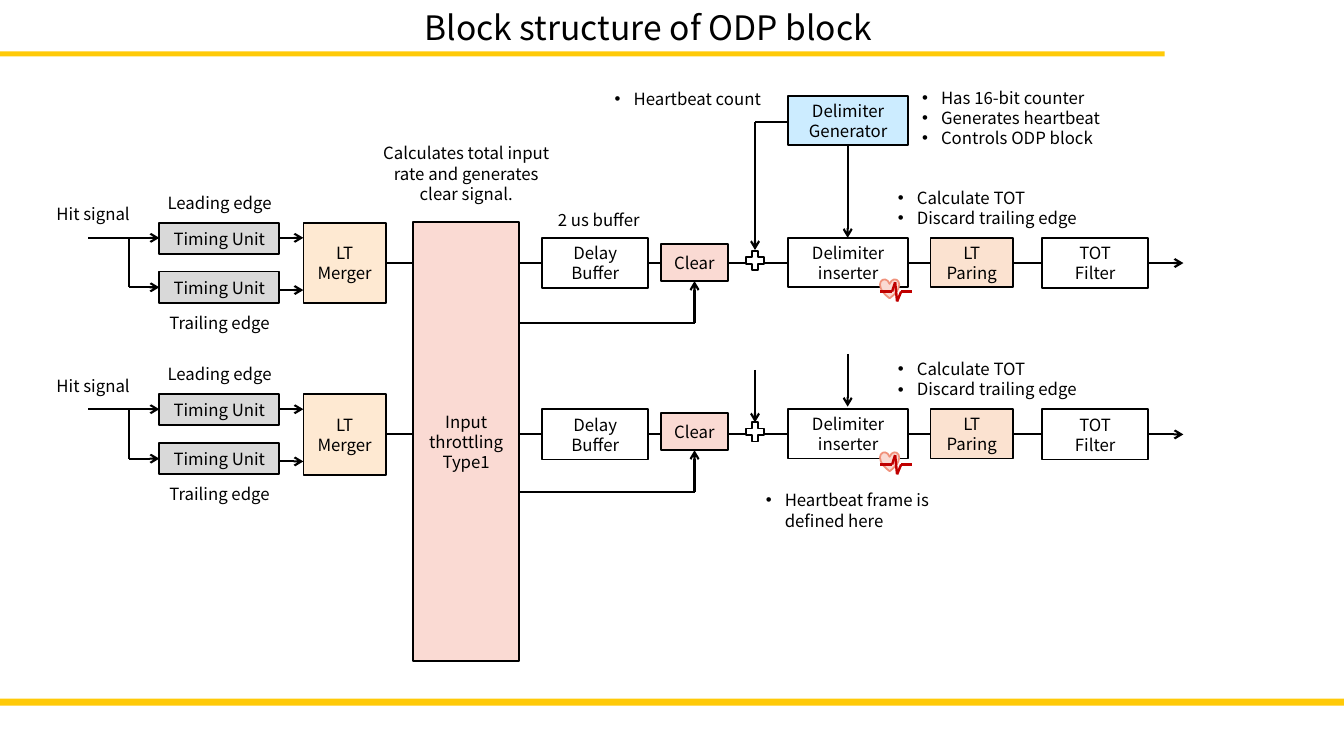
from dataclasses import dataclass
from itertools import pairwise

from lxml.etree import SubElement
from pptx import Presentation
from pptx.dml.color import RGBColor
from pptx.enum.shapes import MSO_CONNECTOR, MSO_SHAPE as SHAPE
from pptx.enum.text import MSO_ANCHOR as ANCHOR, PP_ALIGN as ALIGN
from pptx.oxml.ns import qn
from pptx.util import Pt

FONT = "Noto Sans CJK JP"
BLACK = RGBColor(0x00, 0x00, 0x00)
WHITE = RGBColor(0xFF, 0xFF, 0xFF)
GOLD = RGBColor(0xFF, 0xCA, 0x08)
GREY = RGBColor(0xD9, 0xD9, 0xD9)
CREAM = RGBColor(0xFE, 0xE9, 0xD2)
PEACH = RGBColor(0xFB, 0xE2, 0xD0)
PINK = RGBColor(0xFA, 0xDA, 0xD3)
SKY = RGBColor(0xCC, 0xEC, 0xFF)
CORAL = RGBColor(0xF0, 0x91, 0x7B)
RED = RGBColor(0xC0, 0x00, 0x00)
BULLET_INDENT = 13.5


@dataclass(frozen=True)
class Block:
    x: float
    y: float
    w: float
    h: float
    lines: tuple[str, ...] = ()
    fill: RGBColor = WHITE
    outline: RGBColor | None = BLACK
    kind: SHAPE = SHAPE.RECTANGLE


@dataclass(frozen=True)
class Note:
    x: float
    y: float
    w: float
    h: float
    lines: tuple[str, ...]
    bullets: bool = False
    size: float = 12


@dataclass(frozen=True)
class Wire:
    points: tuple[tuple[float, float], ...]
    arrow: bool = True
    color: RGBColor = BLACK
    weight: float = 1.5


@dataclass(frozen=True)
class Channel:
    """Vertical shifts of one signal row and the starts of its inputs."""
    dy: float
    clear_dy: float
    pulse_dy: float
    heartbeat: Wire
    delimiter: Wire


BARS = (
    Block(0, 499, 960, 5, fill=GOLD, outline=None),
    Block(0, 36.7, 832, 3.6, fill=GOLD, outline=None),
)
BUS = Wire(((275.8, 187.9), (845.3, 187.9)))
ROW_BLOCKS = (
    Block(113.8, 159.1, 85.7, 22.3, ("Timing Unit",), GREY),
    Block(113.8, 194, 85.7, 22.3, ("Timing Unit",), GREY),
    Block(216.7, 159.1, 59, 57.6, ("LT Merger",), CREAM),
    Block(387.4, 169.9, 75.6, 36, ("Delay", "Buffer")),
    Block(563, 169.9, 85.7, 35.3, ("Delimiter", "inserter")),
    Block(664.6, 169.9, 59, 35.3, ("LT", "Paring"), PEACH),
    Block(744.5, 169.9, 75.6, 36, ("TOT", "Filter")),
    Block(532.8, 179.3, 13, 13.7, kind=SHAPE.CROSS),
)
ROW_WIRES = (
    Wire(((199.5, 169.9), (216.7, 169.9))),
    Wire(((199.5, 207.2), (216.7, 207.2))),
    Wire(((63, 169.9), (113.8, 169.9))),
    Wire(((92.2, 169.9), (92.2, 205.2), (113.8, 205.2))),
)
ROW_NOTES = (
    Note(105.8, 133.9, 102.2, 21.6, ("Leading edge",)),
    Note(105.8, 219.6, 102.2, 21.6, ("Trailing edge",)),
    Note(30.2, 142, 72.7, 21.6, ("Hit signal",)),
    Note(634.3, 130.3, 163.4, 36, ("Calculate TOT", "Discard trailing edge"), True),
)
CLEAR = Block(472.3, 174.2, 47.5, 26.6, ("Clear",), PINK)
FEEDBACK = Wire(((370.8, 230.8), (496.1, 230.8), (496.1, 200.8)))
HEART = Block(628.6, 199.4, 13.7, 13.7, fill=PINK, outline=CORAL, kind=SHAPE.HEART)
PULSE = Wire(((628.6, 208.3), (637.2, 208.3), (639.4, 201.6), (640.8, 215.3),
              (643.7, 208.3), (651.6, 208.3)), False, RED, 1.75)
CHANNELS = (
    Channel(0, 0, 0, Wire(((563, 87), (539.3, 87), (539.3, 178.6))),
            Wire(((605.5, 103.7), (605.5, 169.9)))),
    Channel(122.4, 120.8, 123.5, Wire(((539.3, 264.2), (539.3, 301.7))),
            Wire(((605.5, 252.7), (605.5, 290.5)))),
)
SHARED_BLOCKS = (
    Block(295.2, 158.4, 75.6, 314, ("Input", "throttling", "Type1"), PINK),
    Block(563, 68.4, 85.7, 35.3, ("Delimiter", "Generator"), SKY),
)
SHARED_NOTES = (
    Note(208, 1.4, 510, 36, ("Block structure of ODP block",), size=24),
    Note(260, 98.6, 146.2, 51.1,
         ("Calculates total input rate and generates clear signal.",)),
    Note(376.6, 146.2, 102.2, 21.6, ("2 us buffer",)),
    Note(432, 59.8, 163.4, 21.6, ("Heartbeat count",), True),
    Note(651.6, 58.7, 163.4, 51.1,
         ("Has 16-bit counter", "Generates heartbeat", "Controls ODP block"), True),
    Note(540, 346.3, 163.4, 36, ("Heartbeat frame is defined here",), True),
)


def write(tf, lines: tuple[str, ...], size: float = 12, bullets: bool = False) -> None:
    tf.word_wrap = True
    for i, line in enumerate(lines):
        p = tf.paragraphs[0] if i == 0 else tf.add_paragraph()
        p.alignment = ALIGN.LEFT if bullets else ALIGN.CENTER
        p.line_spacing = Pt(round(size * 1.21, 1))
        if bullets:
            pPr = p._p.get_or_add_pPr()
            pPr.set("marL", str(Pt(BULLET_INDENT)))
            pPr.set("indent", str(-Pt(BULLET_INDENT)))
            SubElement(pPr, qn("a:buFont")).set("typeface", "Arial")
            SubElement(pPr, qn("a:buChar")).set("char", "•")
        r = p.add_run()
        r.text = line
        r.font.name, r.font.size = FONT, Pt(size)
        r.font.color.rgb = BLACK


def draw_block(shapes, b: Block, dy: float = 0) -> None:
    sp = shapes.add_shape(b.kind, Pt(b.x), Pt(b.y + dy), Pt(b.w), Pt(b.h))
    sp.shadow.inherit = False
    sp.fill.solid()
    sp.fill.fore_color.rgb = b.fill
    if b.outline is None:
        sp.line.fill.background()
    else:
        sp.line.color.rgb = b.outline
        sp.line.width = Pt(1.25)
    if b.kind == SHAPE.CROSS:
        sp.adjustments[0] = 0.34
    if b.lines:
        sp.text_frame.vertical_anchor = ANCHOR.MIDDLE
        write(sp.text_frame, b.lines)


def draw_note(shapes, n: Note, dy: float = 0) -> None:
    sp = shapes.add_textbox(Pt(n.x), Pt(n.y + dy), Pt(n.w), Pt(n.h))
    write(sp.text_frame, n.lines, n.size, n.bullets)


def draw_wire(shapes, wire: Wire, dy: float = 0) -> None:
    """Joins the points by straight connectors; the last may carry an arrowhead."""
    for (x1, y1), (x2, y2) in pairwise(wire.points):
        c = shapes.add_connector(MSO_CONNECTOR.STRAIGHT, Pt(x1), Pt(y1 + dy),
                                 Pt(x2), Pt(y2 + dy))
        c.line.color.rgb = wire.color
        c.line.width = Pt(wire.weight)
        if wire.arrow and (x2, y2) == wire.points[-1]:
            SubElement(c.line._get_or_add_ln(), qn("a:tailEnd")).set("type", "arrow")
        SubElement(c._element.spPr, qn("a:effectLst"))


def draw_channel(shapes, ch: Channel) -> None:
    draw_wire(shapes, BUS, ch.dy)
    for b in ROW_BLOCKS:
        draw_block(shapes, b, ch.dy)
    for wire in ROW_WIRES:
        draw_wire(shapes, wire, ch.dy)
    for n in ROW_NOTES:
        draw_note(shapes, n, ch.dy)
    draw_wire(shapes, ch.heartbeat)
    draw_wire(shapes, ch.delimiter)
    draw_block(shapes, CLEAR, ch.clear_dy)
    draw_wire(shapes, FEEDBACK, ch.clear_dy)
    pulse = shapes.add_group_shape().shapes
    draw_block(pulse, HEART, ch.pulse_dy)
    draw_wire(pulse, PULSE, ch.pulse_dy)


def main() -> None:
    prs = Presentation()
    prs.slide_width, prs.slide_height = Pt(960), Pt(540)
    shapes = prs.slides.add_slide(prs.slide_layouts[6]).shapes
    for bar in BARS:
        draw_block(shapes, bar)
    for ch in CHANNELS:
        draw_channel(shapes, ch)
    for b in SHARED_BLOCKS:
        draw_block(shapes, b)
    for n in SHARED_NOTES:
        draw_note(shapes, n)
    prs.save("out.pptx")


if __name__ == "__main__":
    main()
